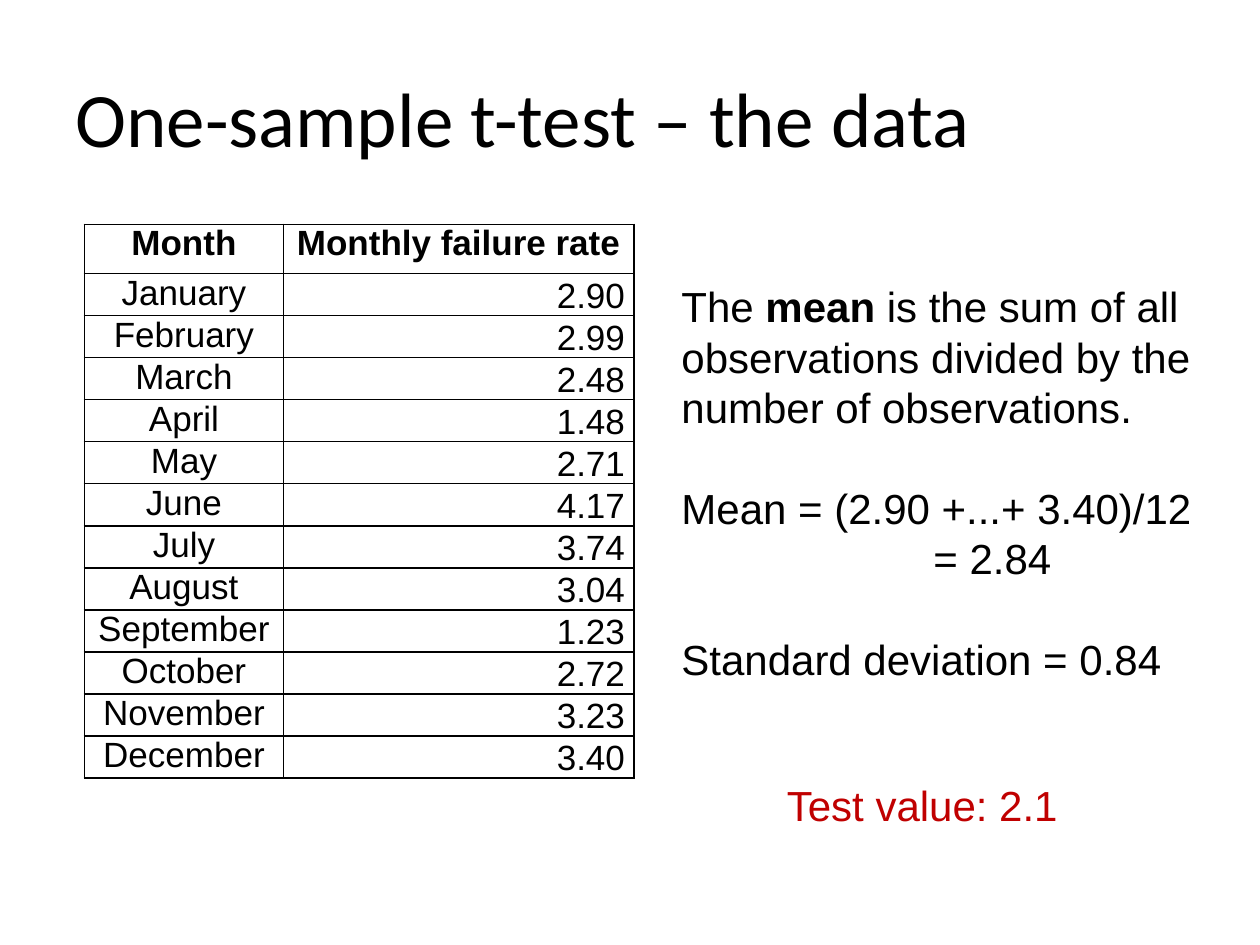
from dataclasses import dataclass

from lxml import etree
from pptx import Presentation
from pptx.dml.color import RGBColor
from pptx.enum.text import MSO_ANCHOR, PP_ALIGN
from pptx.oxml.ns import qn
from pptx.util import Inches, Pt

LEFT, MID, RIGHT = PP_ALIGN.LEFT, PP_ALIGN.CENTER, PP_ALIGN.RIGHT
TOP, CENTRE, LOW = MSO_ANCHOR.TOP, MSO_ANCHOR.MIDDLE, MSO_ANCHOR.BOTTOM


@dataclass(frozen=True)
class Theme:
    ink: str = "000000"
    red: str = "C00000"
    head: str = "Calibri"
    body: str = "Arial"
    title: float = 44
    text: float = 24
    cell: float = 20
    line: float = 28.8  # line pitch of the notes
    rule: float = 1


THEME = Theme()

# Content
TITLE = "One-sample t-test – the data"
HEADS = ("Month", "Monthly failure rate")
RATES = [
    ("January", "2.90"), ("February", "2.99"), ("March", "2.48"),
    ("April", "1.48"), ("May", "2.71"), ("June", "4.17"),
    ("July", "3.74"), ("August", "3.04"), ("September", "1.23"),
    ("October", "2.72"), ("November", "3.23"), ("December", "3.40"),
]
# Each note: runs as (text, bold), gap before in lines, left indent in inches
NOTES = [
    ([("The ", False), ("mean", True),
      (" is the sum of all observations divided by the number of observations.", False)], 0, 0),
    ([("Mean = (2.90 +...+ 3.40)/12", False)], 1, 0),
    ([("= 2.84", False)], 0, 2),
    ([("Standard deviation = 0.84", False)], 1, 0),
]
TEST = "Test value: 2.1"

# Table measures, in inches
COLS = (1.58, 2.78)
HEAD_ROW, ROW = 0.39, 0.31


def write(para, text, size=THEME.text, font=THEME.body, color=THEME.ink,
          bold=False, align=LEFT):
    """Add one formatted run to a paragraph."""
    para.alignment = align
    run = para.add_run()
    run.text = text
    run.font.size = Pt(size)
    run.font.name = font
    run.font.bold = bold
    run.font.color.rgb = RGBColor.from_string(color)


def add_box(slide, left, top, width, height, anchor=TOP):
    """Add a wrapping text box and return its text frame."""
    box = slide.shapes.add_textbox(*map(Inches, (left, top, width, height)))
    frame = box.text_frame
    frame.word_wrap = True
    frame.vertical_anchor = anchor
    return frame


def set_edges(cell):
    """Draw a thin line on all four sides of a cell."""
    props = cell._tc.get_or_add_tcPr()
    for i, side in enumerate(("a:lnL", "a:lnR", "a:lnT", "a:lnB")):
        edge = etree.Element(qn(side), w=str(Pt(THEME.rule)))
        fill = etree.SubElement(edge, qn("a:solidFill"))
        etree.SubElement(fill, qn("a:srgbClr"), val=THEME.ink)
        props.insert(i, edge)


def add_rates(slide):
    rows = [HEADS, *RATES]
    high = HEAD_ROW + ROW * len(RATES)
    table = slide.shapes.add_table(
        len(rows), len(COLS), Inches(0.67), Inches(1.78),
        Inches(sum(COLS)), Inches(high)).table
    table.first_row = table.horz_banding = False
    for col, width in zip(table.columns, COLS):
        col.width = Inches(width)
    for r, values in enumerate(rows):
        table.rows[r].height = Inches(ROW if r else HEAD_ROW)
        for c, value in enumerate(values):
            cell = table.cell(r, c)
            rate = r > 0 and c == 1
            cell.margin_left = cell.margin_right = Inches(0.07)
            cell.margin_top = cell.margin_bottom = 0
            cell.vertical_anchor = LOW if rate else TOP
            cell.fill.background()
            set_edges(cell)
            write(cell.text_frame.paragraphs[0], value, size=THEME.cell,
                  bold=r == 0, align=RIGHT if rate else MID)


def add_notes(slide):
    frame = add_box(slide, 5.31, 2.18, 4.25, 3.64)
    for i, (runs, gap, indent) in enumerate(NOTES):
        para = frame.add_paragraph() if i else frame.paragraphs[0]
        para.line_spacing = Pt(THEME.line)
        para.space_before = Pt(THEME.line * gap)
        if indent:
            para._p.get_or_add_pPr().set("marL", str(Inches(indent)))
        for text, bold in runs:
            write(para, text, bold=bold)


def main():
    deck = Presentation()
    deck.slide_width, deck.slide_height = Inches(10), Inches(7.5)
    slide = deck.slides.add_slide(deck.slide_layouts[6])

    # Title
    frame = add_box(slide, 0.5, 0.3, 9, 1.25, anchor=CENTRE)
    write(frame.paragraphs[0], TITLE, size=THEME.title, font=THEME.head)

    # Data and explanation
    add_rates(slide)
    add_notes(slide)

    # Test value
    frame = add_box(slide, 5.94, 5.8, 2.76, 1.17, anchor=CENTRE)
    write(frame.paragraphs[0], TEST, color=THEME.red, align=MID)

    deck.save("out.pptx")


if __name__ == "__main__":
    main()
